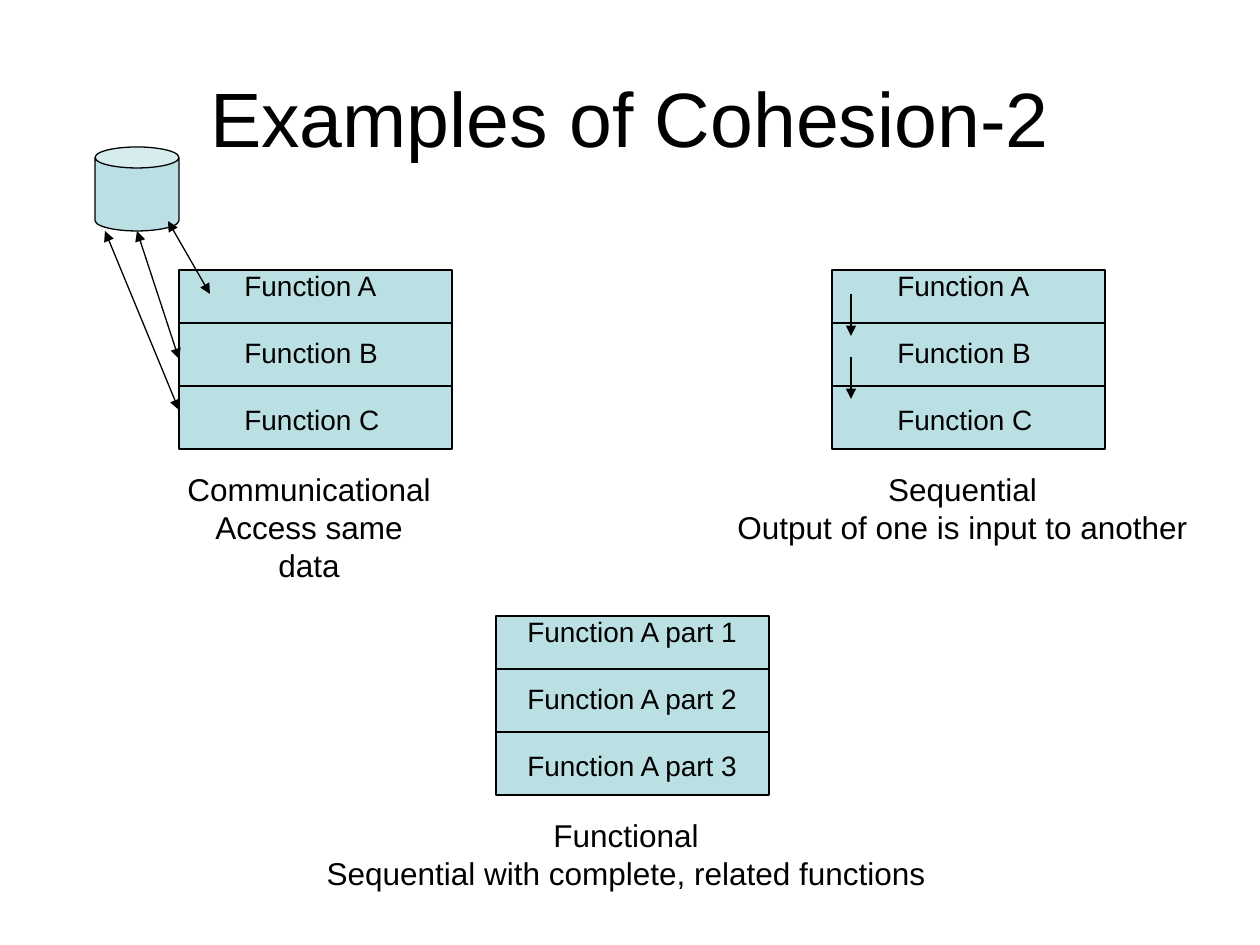
from dataclasses import dataclass
from pptx import Presentation
from pptx.dml.color import RGBColor as RGB
from pptx.enum.shapes import MSO_CONNECTOR as CONN, MSO_SHAPE as SHAPE
from pptx.enum.text import MSO_ANCHOR as ANCHOR, PP_ALIGN as ALIGN
from pptx.oxml.ns import qn
from pptx.util import Emu, Pt
from lxml.etree import SubElement


@dataclass(frozen=True)
class Theme:
    ink: RGB = RGB(0x00, 0x00, 0x00)
    fill: RGB = RGB(0xBB, 0xE0, 0xE3)
    font: str = "Arial"
    title: int = 44
    caption: int = 18
    label: int = 16
    leading: float = 1.2
    line: float = 0.74


def px(n):
    return Emu(round(n * 914400 / 126))


def assign(obj, **values):
    for name, value in values.items():
        setattr(obj, name, value)


class Sketch:
    """Draws the elements of one slide in a shared style."""

    def __init__(self, slide, theme):
        self.shapes, self.theme = slide.shapes, theme

    def stroke(self, line):
        line.color.rgb = self.theme.ink
        line.width = Pt(self.theme.line)

    def shape(self, kind, *box):
        sp = self.shapes.add_shape(kind, *map(px, box))
        sp.shadow.inherit = False
        sp.fill.solid()
        sp.fill.fore_color.rgb = self.theme.fill
        self.stroke(sp.line)
        return sp

    def line(self, x1, y1, x2, y2, ends=()):
        sp = self.shapes.add_connector(CONN.STRAIGHT, *map(px, (x1, y1, x2, y2)))
        self.stroke(sp.line)
        ln = sp.line._get_or_add_ln()
        for end in ends:
            SubElement(ln, qn(f"a:{end}"), type="triangle")
        SubElement(sp._element.spPr, qn("a:effectLst"))

    def text(self, lines, box, size, align=ALIGN.CENTER, anchor=ANCHOR.TOP, wrap=False, gap=0):
        tf = self.shapes.add_textbox(*map(px, box)).text_frame
        assign(tf, word_wrap=wrap, vertical_anchor=anchor)
        for i, line in enumerate(lines):
            p = tf.add_paragraph() if i else tf.paragraphs[0]
            assign(p, alignment=align, line_spacing=Pt(size * self.theme.leading),
                   space_before=Pt(gap if i else 0))
            r = p.add_run()
            r.text = line
            assign(r.font, size=Pt(size), name=self.theme.font)
            r.font.color.rgb = self.theme.ink

    def module(self, x, y, labels, label_box, caption, caption_box):
        width, height = 273, 179
        self.shape(SHAPE.RECTANGLE, x, y, width, height)
        for dy in (53, 116):
            self.line(x, y + dy, x + width, y + dy)
        label_x, label_w = label_box
        size = self.theme.label
        self.text(labels, (label_x, y - 8, label_w, 181), size, ALIGN.LEFT,
                  gap=size * self.theme.leading)
        caption_x, caption_w = caption_box
        self.text(caption, (caption_x, y + 194, caption_w, 88), self.theme.caption)


prs = Presentation()
assign(prs, slide_width=px(1260), slide_height=px(945))
theme = Theme()
s = Sketch(prs.slides.add_slide(prs.slide_layouts[6]), theme)

s.text(["Examples of Cohesion-2"], (63, 38, 1134, 158), theme.title,
       anchor=ANCHOR.MIDDLE, wrap=True)

functions = [f"Function {c}" for c in "ABC"]
parts = [f"Function A part {n}" for n in (1, 2, 3)]
modules = [
    (496, 616, parts, (515, 238),
     ["Functional", "Sequential with complete, related functions"], (314, 624)),
    (179, 270, functions, (232, 160),
     ["Communicational", "Access same data"], (168, 282)),
    (832, 270, functions, (885, 160),
     ["Sequential", "Output of one is input to another"], (725, 475)),
]
for module in modules:
    s.module(*module)

data_store = s.shape(SHAPE.CAN, 95, 147, 84, 84)
data_store.adjustments[0] = 0.25

for access in ((137, 231, 179, 359), (168, 221, 210, 294), (105, 231, 179, 410)):
    s.line(*access, ends=("headEnd", "tailEnd"))
for y in (294, 357):
    s.line(851, y, 851, y + 42, ends=("tailEnd",))

prs.save("out.pptx")
